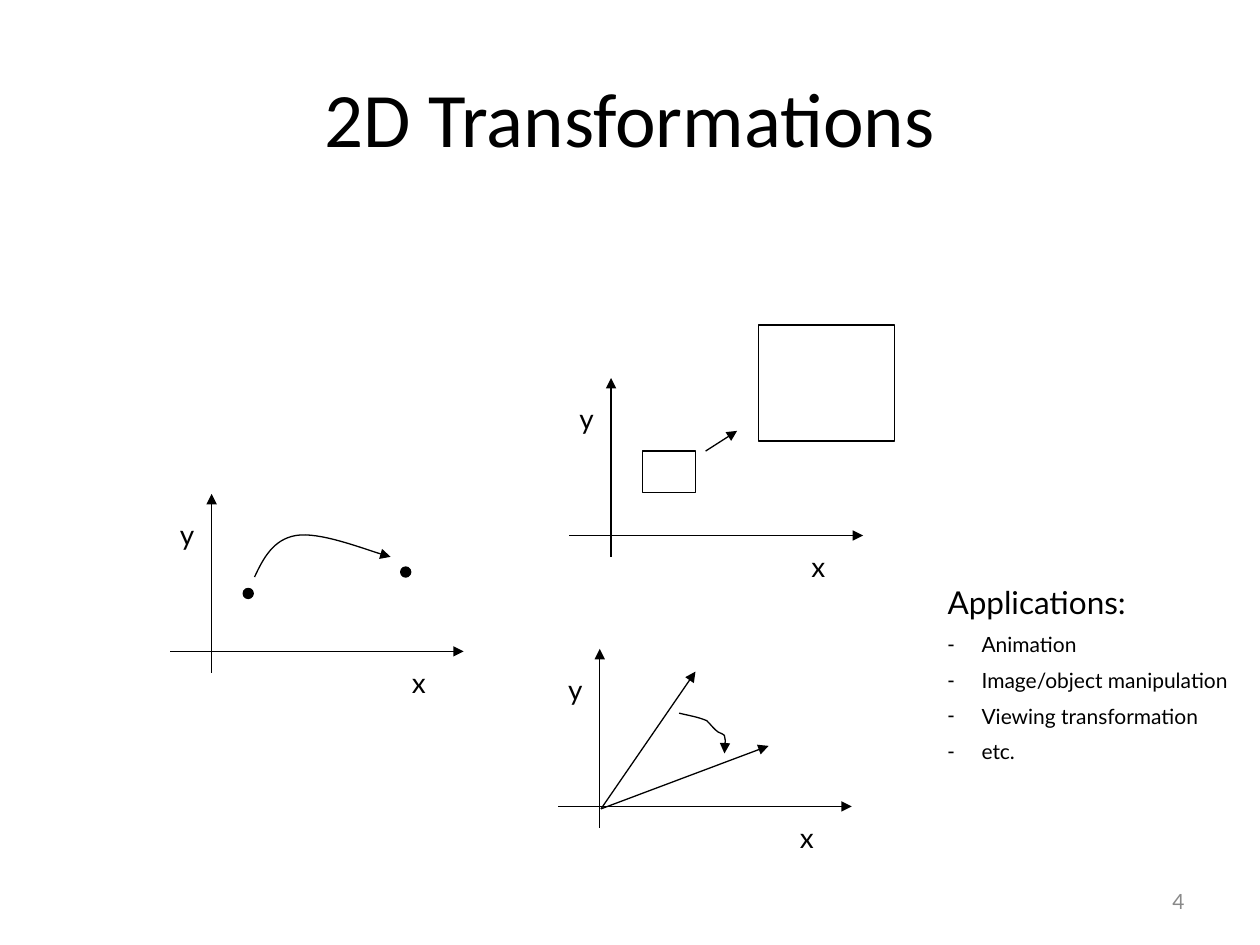
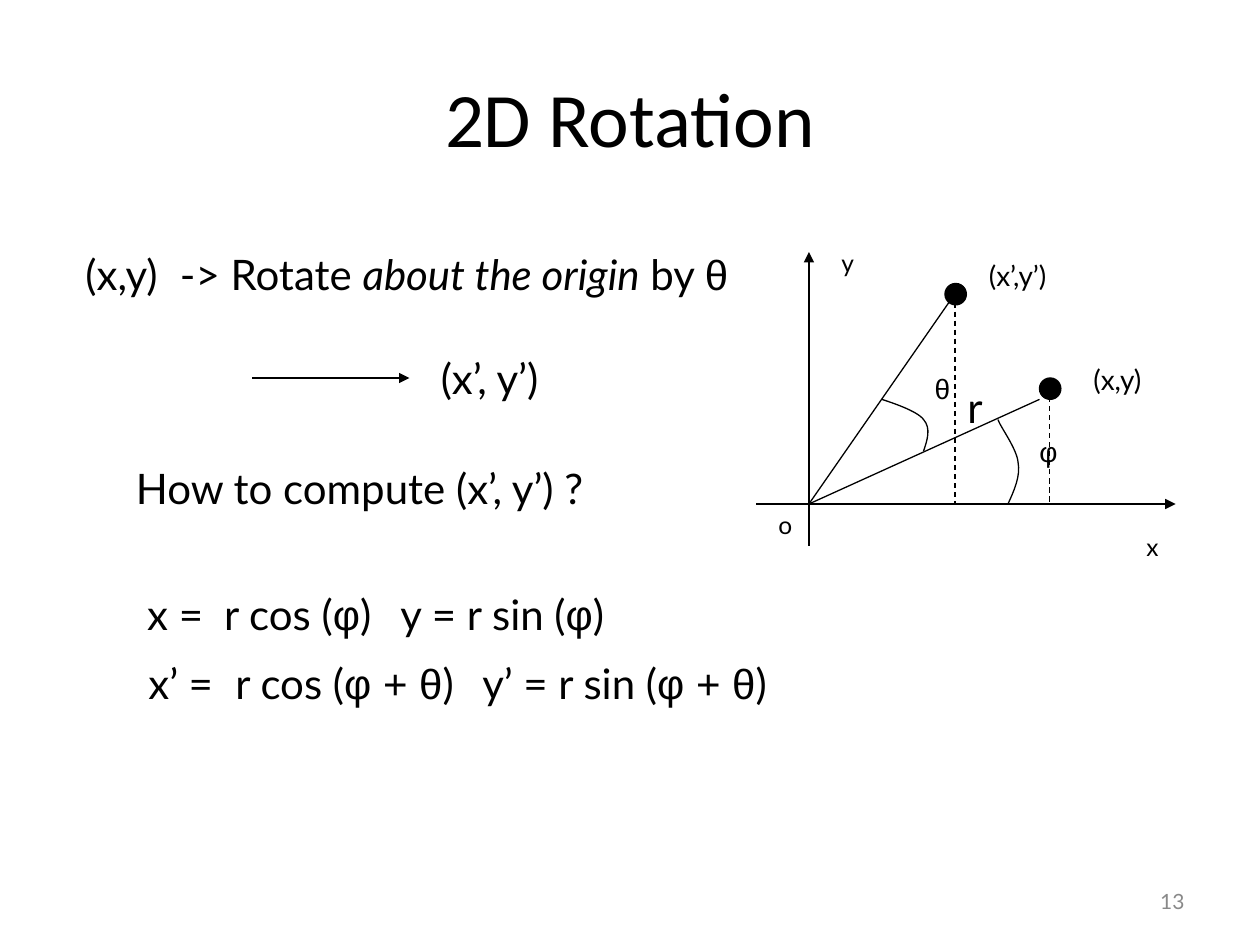
"""Build two slides on 2D transformations and 2D rotation."""
import dataclasses

import lxml.etree
import pptx
import pptx.dml.color
import pptx.enum.dml
import pptx.enum.shapes
import pptx.enum.text
import pptx.oxml.ns
import pptx.util

SCALE = 9144
SHAPE = pptx.enum.shapes.MSO_SHAPE
ALIGN = pptx.enum.text.PP_ALIGN
ANCHOR = pptx.enum.text.MSO_ANCHOR
FIT = pptx.enum.text.MSO_AUTO_SIZE


@dataclasses.dataclass(frozen=True)
class Theme:
    """Colours, fonts and type sizes."""
    ink: str = "000000"
    gray: str = "898989"
    head: str = "Calibri"
    text: str = "Lato"
    greek: str = "Arial"
    title: int = 44
    large: int = 24
    lead: int = 18
    label: int = 16
    axis: int = 14
    small: int = 12
    line: float = 0.75


def px(count):
    """Turn px into EMU."""
    return pptx.util.Emu(count * SCALE)


def sub(parent, tag, **attrs):
    """Append a drawing element."""
    return lxml.etree.SubElement(parent, pptx.oxml.ns.qn(tag), attrs)


class Deck:
    """Holds the theme and the slide being drawn."""

    def __init__(self, theme):
        """Start a deck of 10 by 7.5 inches."""
        self.theme = theme
        self.show = pptx.Presentation()
        self.show.slide_width, self.show.slide_height = px(1000), px(750)
        self.slide = None

    def page(self, layout, title, number):
        """Add a slide with its title and number."""
        self.slide = self.show.slides.add_slide(self.show.slide_layouts[layout])
        head = self.slide.shapes.title
        self.place(head, 50, 30, 900, 125)
        head.text_frame.vertical_anchor = ANCHOR.MIDDLE
        para = head.text_frame.paragraphs[0]
        para.text = title
        para.alignment = ALIGN.CENTER
        self.style(para.font, self.theme.title, self.theme.head)
        self.text(number, 717, 695, 233, 40, self.theme.small,
                  color=self.theme.gray, align=ALIGN.RIGHT, wrap=True)

    def place(self, shape, left, top, width, height):
        """Move and size a shape."""
        shape.left, shape.top = px(left), px(top)
        shape.width, shape.height = px(width), px(height)

    def style(self, font, size, name=None, color=None):
        """Set size, family and colour of a font."""
        font.size = pptx.util.Pt(size)
        font.name = name or self.theme.text
        font.color.rgb = pptx.dml.color.RGBColor.from_string(color or self.theme.ink)

    def text(self, words, left, top, width, height, size, name=None,
             color=None, align=ALIGN.LEFT, wrap=False, tabs=()):
        """Add a one-line text box; words is a string or (text, look) pairs."""
        box = self.slide.shapes.add_textbox(*map(px, (left, top, width, height)))
        frame = box.text_frame
        frame.word_wrap = wrap
        frame.auto_size = FIT.NONE if wrap else FIT.SHAPE_TO_FIT_TEXT
        frame.vertical_anchor = ANCHOR.MIDDLE if wrap else ANCHOR.TOP
        para = frame.paragraphs[0]
        para.alignment = align
        if tabs:
            stops = sub(para._p.get_or_add_pPr(), "a:tabLst")
            for stop in tabs:
                sub(stops, "a:tab", pos=str(px(stop)), algn="l")
        self.style(para.font, size, name, color)
        for part, look in [(words, "")] if isinstance(words, str) else words:
            run = para.add_run()
            run.text = part
            if look == "greek":
                run.font.name = self.theme.greek
            elif look == "slant":
                run.font.italic = True

    def label(self, words, left, top, width=31, name=None):
        """Add a small figure label."""
        self.text(words, left, top, width, 37, self.theme.label, name)

    def list(self, lead, items, left, top, width, height):
        """Fill the body placeholder with a lead line and dashed items."""
        body = self.slide.placeholders[1]
        self.place(body, left, top, width, height)
        frame = body.text_frame
        frame.auto_size = FIT.NONE
        for index, words in enumerate([lead, *items]):
            para = frame.add_paragraph() if index else frame.paragraphs[0]
            para.text = words
            props = para._p.get_or_add_pPr()
            hang = px(27) if index else 0
            props.set("marL", str(hang))
            props.set("indent", str(-hang))
            if index:
                sub(props, "a:buChar", char="-")
            else:
                sub(props, "a:buNone")
            para.space_before = pptx.util.Pt(6 if index else 0)
            self.style(para.font, self.theme.small if index else self.theme.lead)

    def ink(self, shape, arrow=False):
        """Give a shape the thin dark outline."""
        shape.line.width = pptx.util.Pt(self.theme.line)
        shape.line.color.rgb = pptx.dml.color.RGBColor.from_string(self.theme.ink)
        if arrow:
            sub(shape.element.spPr.get_or_add_ln(), "a:tailEnd", type="triangle")

    def line(self, start, end, arrow=False, dash=False):
        """Draw a straight line between two points."""
        kind = pptx.enum.shapes.MSO_CONNECTOR.STRAIGHT
        line = self.slide.shapes.add_connector(kind, *map(px, (*start, *end)))
        self.ink(line, arrow)
        if dash:
            line.line.dash_style = pptx.enum.dml.MSO_LINE.DASH
        sub(line.element.spPr, "a:effectLst")

    def shape(self, kind, left, top, width, height, solid=False):
        """Draw a preset shape, solid or hollow."""
        shape = self.slide.shapes.add_shape(kind, *map(px, (left, top, width, height)))
        shape.shadow.inherit = False
        if solid:
            shape.fill.solid()
            shape.fill.fore_color.rgb = pptx.dml.color.RGBColor.from_string(self.theme.ink)
        else:
            shape.fill.background()
        self.ink(shape)

    def dot(self, left, top, size):
        """Draw a solid point."""
        self.shape(SHAPE.OVAL, left, top, size, size, True)

    def curve(self, start, *points, arrow=False):
        """Draw cubic curves, three points to each."""
        pen = self.slide.shapes.build_freeform(*start, scale=SCALE)
        pen.add_line_segments(points, close=False)
        curve = pen.convert_to_shape()
        curve.shadow.inherit = False
        curve.fill.background()
        self.ink(curve, arrow)
        path = curve.element.find(".//" + pptx.oxml.ns.qn("a:path"))
        steps = path.findall(pptx.oxml.ns.qn("a:lnTo"))
        for first in range(0, len(steps), 3):
            bend = sub(path, "a:cubicBezTo")
            for step in steps[first:first + 3]:
                bend.append(step[0])
                path.remove(step)

    def axes(self, left, base):
        """Draw a labelled pair of small axes."""
        self.line((left, base), (left + 233, base), arrow=True)
        self.line((left + 33, base + 17), (left + 33, base - 125), arrow=True)
        self.label("x", left + 182, base + 6)
        self.label("y", left - 2, base - 111)


def shifts(deck):
    """Draw the overview of transformations."""
    deck.page(1, "2D Transformations", "4")
    for left, base in ((135, 517), (452, 425), (443, 640)):
        deck.axes(left, base)
    deck.dot(193, 467, 8)
    deck.dot(318, 450, 8)
    deck.curve((202, 458), (209, 443), (217, 428), (235, 425),
               (253, 422), (298, 439), (310, 442), arrow=True)
    deck.shape(SHAPE.RECTANGLE, 510, 358, 42, 33)
    deck.shape(SHAPE.RECTANGLE, 602, 258, 108, 92)
    deck.line((560, 358), (585, 342), arrow=True)
    for end in ((552, 533), (610, 592)):
        deck.line((477, 642), end, arrow=True)
    deck.curve((539, 566), (547, 568), (554, 569), (561, 572),
               (564, 575), (567, 579), (570, 581), (572, 582), (575, 583),
               (575, 584), (576, 589), (575, 594), (575, 598), arrow=True)
    deck.list("Applications:", ["Animation", "Image/object manipulation",
                                "Viewing transformation", "etc."],
              742, 458, 258, 160)


def turn(deck):
    """Draw the rotation slide."""
    theme = deck.theme
    deck.page(5, "2D Rotation", "13")
    deck.line((600, 400), (933, 400), arrow=True)
    deck.line((642, 433), (642, 200), arrow=True)
    for left, top, end in ((825, 300, (825, 317)), (750, 225, (758, 233))):
        deck.dot(left, top, 17)
        deck.line((642, 400), end)
        deck.line((left + 8, top + 8), (left + 8, 400), dash=True)
    deck.curve((733, 358), (736, 349), (739, 340), (733, 333),
               (728, 326), (706, 319), (700, 317))
    deck.curve((800, 400), (805, 389), (810, 378), (808, 367),
               (807, 356), (794, 339), (792, 333))
    deck.label("(x,y)", 858, 283, 73)
    deck.label("(x’,y’)", 775, 200, 82)
    deck.label("θ", 732, 290, name=theme.greek)
    deck.label("φ", 815, 340, name=theme.greek)
    deck.text("r", 758, 298, 32, 50, theme.large)
    for name, left, top in (("x", 900, 417), ("y", 658, 192), ("o", 608, 400)):
        deck.text(name, left, top, 33, 33, theme.axis)

    deck.text([("(x,y)\t-> Rotate ", ""), ("about the origin", "slant"),
               (" by ", ""), ("θ", "greek")],
              58, 192, 570, 50, theme.large, wrap=True, tabs=[75])
    deck.line((200, 300), (325, 300), arrow=True)
    deck.text("(x’, y’)", 340, 275, 114, 50, theme.large)
    deck.text("How to compute (x’, y’) ?", 98, 362, 393, 50, theme.large)
    for mark, angle, left, top, width, tabs in (
            ("", "φ", 107, 462, 423, (61, 201)),
            ("’", "φ + θ", 108, 517, 547, (69, 265))):
        deck.text([(f"x{mark} =\tr cos (", ""), (angle, "greek"),
                   (f")\ty{mark} = r sin (", ""), (angle, "greek"), (")", "")],
                  left, top, width, 50, theme.large, wrap=True, tabs=tabs)


def main():
    """Build and save the deck."""
    deck = Deck(Theme())
    shifts(deck)
    turn(deck)
    deck.show.save("out.pptx")


if __name__ == "__main__":
    main()
